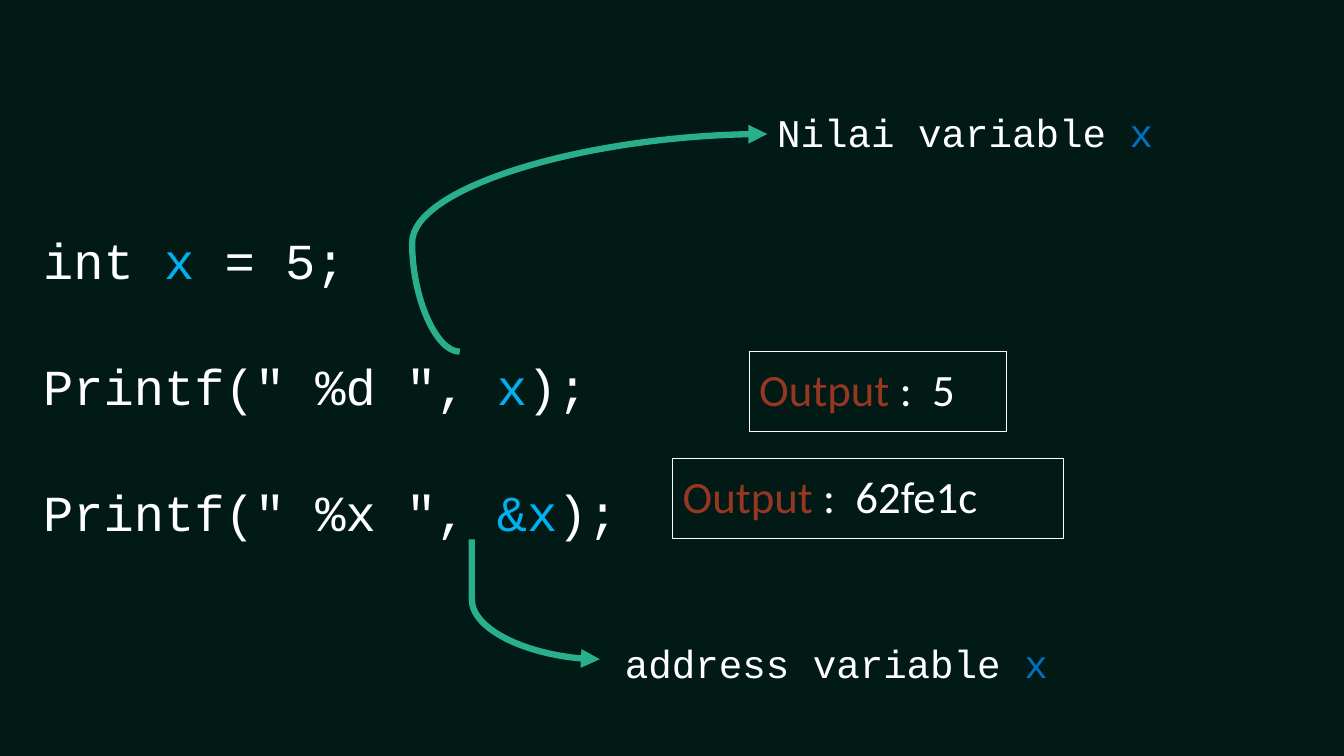
import pptx
import pptx.util
import pptx.dml.color
import pptx.enum.shapes
import pptx.enum.text
import pptx.oxml.ns
from lxml import etree

Inches = pptx.util.Inches
Pt = pptx.util.Pt
RGBColor = pptx.dml.color.RGBColor
qn = pptx.oxml.ns.qn

DARK = RGBColor(0x01, 0x1A, 0x16)
WHITE = RGBColor(0xFF, 0xFF, 0xFF)
SKY = RGBColor(0x00, 0xB0, 0xF0)
BLUE = RGBColor(0x00, 0x70, 0xC0)
RUST = RGBColor(0x97, 0x37, 0x21)
GREEN = RGBColor(0x29, 0xAF, 0x8C)


def write(para, font, size, parts):
    para.font.name = font
    para.font.size = Pt(size)
    for text, color in parts:
        run = para.add_run()
        run.text = text
        run.font.color.rgb = color


def add_text(left, top, width, height, size, lines):
    frame = slide.shapes.add_textbox(
        Inches(left), Inches(top), Inches(width), Inches(height)).text_frame
    frame.word_wrap = True
    for i, parts in enumerate(lines):
        para = frame.add_paragraph() if i else frame.paragraphs[0]
        para.line_spacing = 1.07
        if i:
            para.space_before = Pt(43.7)
        write(para, "Courier New", size, parts)


prs = pptx.Presentation()
prs.slide_width = Inches(13.33)
prs.slide_height = Inches(7.5)
slide = prs.slides.add_slide(prs.slide_layouts[6])
slide.background.fill.solid()
slide.background.fill.fore_color.rgb = DARK

# Code
add_text(0.33, 2.18, 6.67, 3.13, 36, [
    [("int ", WHITE), ("x ", SKY), ("= 5;", WHITE)],
    [('Printf(" %d ", ', WHITE), ("x", SKY), (");", WHITE)],
    [('Printf(" %x ", ', WHITE), ("&x", SKY), (");", WHITE)],
])

# Output boxes
for left, top, width, value in [(7.43, 3.49, 2.55, "5"),
                                (6.67, 4.55, 3.88, "62fe1c")]:
    table = slide.shapes.add_table(
        1, 1, Inches(left), Inches(top), Inches(width), Inches(0.79)).table
    table.first_row = False
    table.horz_banding = False
    cell = table.cell(0, 0)
    cell.vertical_anchor = pptx.enum.text.MSO_ANCHOR.MIDDLE
    write(cell.text_frame.paragraphs[0], "Calibri", 32,
          [("Output", RUST), (" :  " + value, WHITE)])
    props = cell._tc.get_or_add_tcPr()
    for side in ("a:lnL", "a:lnR", "a:lnT", "a:lnB"):
        edge = etree.SubElement(props, qn(side), w=str(Pt(1)))
        fill = etree.SubElement(edge, qn("a:solidFill"))
        etree.SubElement(fill, qn("a:srgbClr"), val=str(WHITE))
    cell.fill.background()

# Curved arrows, each with its bend as a share of the width
for x1, y1, x2, y2, bend in [(4.56, 3.49, 7.61, 1.33, -15500),
                             (4.68, 5.35, 5.95, 6.54, 0)]:
    arrow = slide.shapes.add_connector(
        pptx.enum.shapes.MSO_CONNECTOR.CURVE,
        Inches(x1), Inches(y1), Inches(x2), Inches(y2))
    arrow.line.color.rgb = GREEN
    arrow.line.width = Pt(4.5)
    props = arrow._element.spPr
    guides = props.find(qn("a:prstGeom")).find(qn("a:avLst"))
    etree.SubElement(guides, qn("a:gd"), name="adj1", fmla=f"val {bend}")
    etree.SubElement(props.find(qn("a:ln")), qn("a:tailEnd"), type="triangle")
    etree.SubElement(props, qn("a:effectLst"))

# Labels
for left, top, width, label in [(7.61, 0.99, 3.98, "Nilai variable "),
                                (6.1, 6.26, 4.64, "address variable ")]:
    add_text(left, top, width, 0.57, 28, [[(label, WHITE), ("x", BLUE)]])

prs.save("out.pptx")
